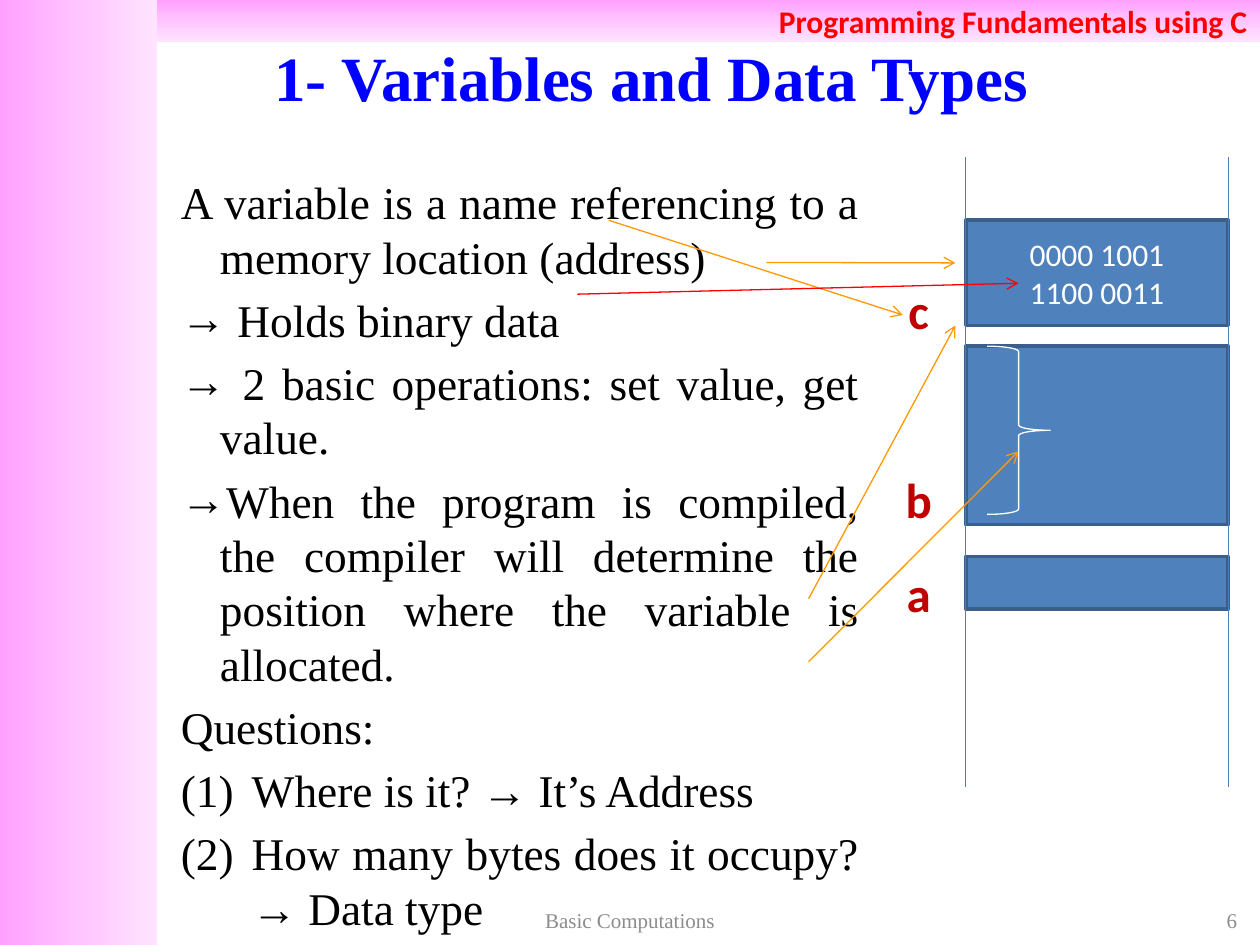
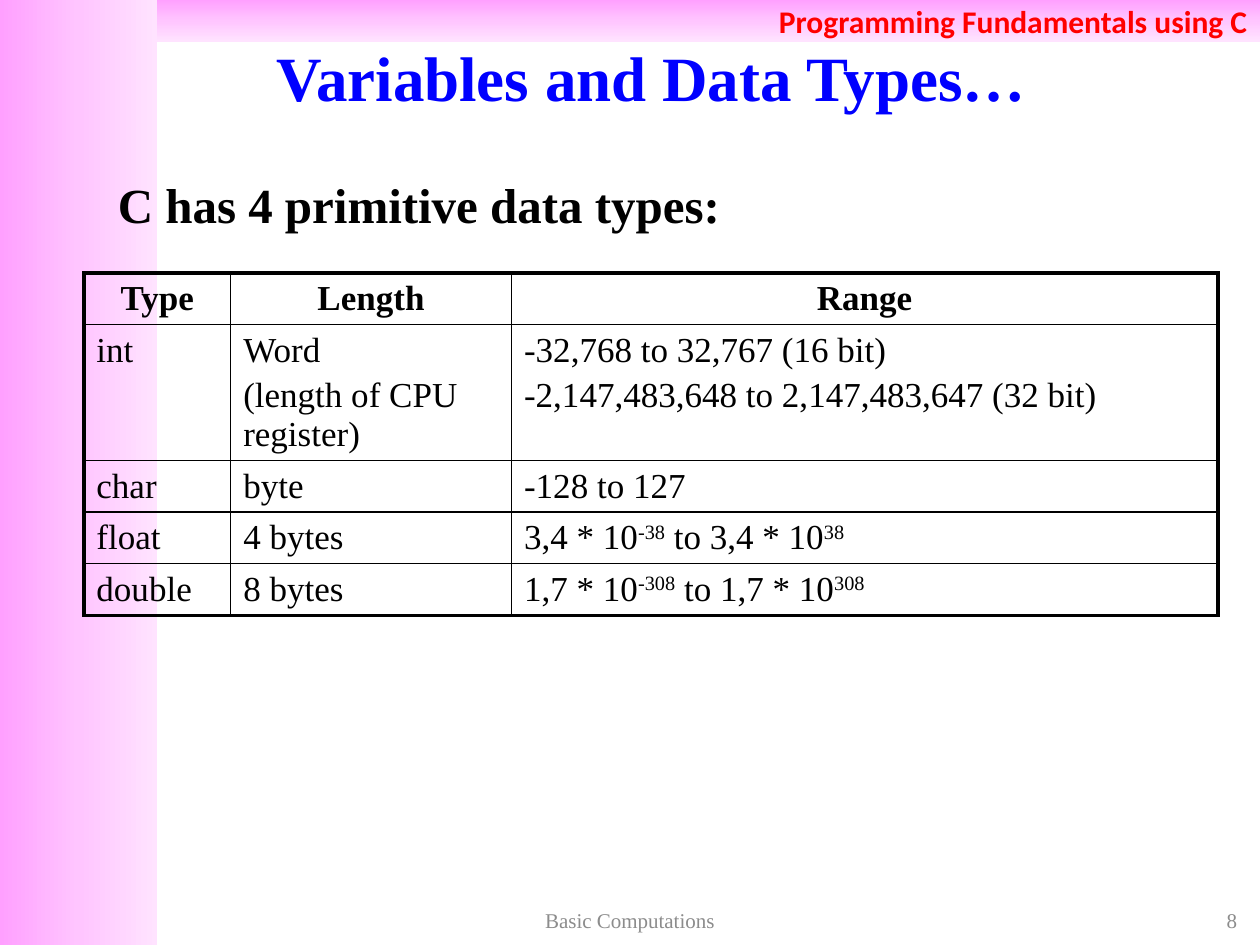
from copy import deepcopy

from lxml import etree
from pptx import Presentation
from pptx import util as u
from pptx.dml.color import RGBColor
from pptx.enum import shapes, text
from pptx.oxml import ns

PINKS = [RGBColor(0xFF, 0xA0, 0xFF), RGBColor(0xFF, 0xC5, 0xFF), RGBColor(0xFF, 0xE3, 0xFF)]
RED = RGBColor(0xFF, 0, 0)
DARK_RED = RGBColor(0xC0, 0, 0)
BLUE = RGBColor(0, 0, 0xFF)
BLACK = RGBColor(0, 0, 0)
WHITE = RGBColor(0xFF, 0xFF, 0xFF)
GRAY = RGBColor(0x8C, 0x8C, 0x8C)
ORANGE = RGBColor(0xFF, 0x99, 0)
CELL_BLUE = RGBColor(0x4F, 0x81, 0xBD)
CELL_EDGE = RGBColor(0x3A, 0x5F, 0x8C)
RAIL_BLUE = RGBColor(0x4B, 0x7E, 0xBC)

SERIF = "Times New Roman"
SANS = "Calibri"
ALIGN = text.PP_ALIGN
MIDDLE = text.MSO_ANCHOR.MIDDLE
PAGE_WIDTH, PAGE_HEIGHT = 25.4, 19.05
BAND_WIDTH, BAND_HEIGHT = 3.17, 0.84
RAIL_TOP, RAIL_BOTTOM = 3.17, 15.87
MEMORY_LEFT, MEMORY_WIDTH = 19.47, 5.29

TITLE = {"size": u.Pt(36), "name": SERIF, "bold": True, "color": BLUE}
HEADER = {"size": u.Pt(18), "name": SANS, "bold": True, "color": RED}
BODY = {"size": u.Pt(25.9), "name": SERIF, "bold": False, "color": BLACK}
LEAD = {"size": u.Pt(28), "name": SERIF, "bold": True, "color": BLACK}
FOOTER = {"size": u.Pt(12), "name": SERIF, "bold": False, "color": GRAY}
BITS = {"size": u.Pt(18), "name": SANS, "bold": False, "color": WHITE}
LABEL = {"size": u.Pt(28), "name": SANS, "bold": True, "color": DARK_RED}
CELL = {"size": u.Pt(20), "name": SERIF, "bold": False, "color": BLACK}
HEAD_CELL = {**CELL, "bold": True}

PLAIN, ARROW, NUMBER = range(3)
DEFINITION = [
    (PLAIN, "A variable is a name referencing to a memory location (address)"),
    (ARROW, " Holds binary data"),
    (ARROW, " 2 basic operations: set value, get value."),
    (ARROW, "When the program is compiled, the compiler will determine "
            "the position where the variable is allocated."),
    (PLAIN, "Questions:"),
    (NUMBER, "Where is it? → It’s Address"),
    (NUMBER, "How many bytes does it occupy? → Data type"),
]
MEMORY_BLOCKS = [(4.44, 2.12, ["0000 1001", "1100 0011"]), (6.98, 3.6, []), (11.22, 1.06, [])]
VARIABLE_LABELS = [("a", 11.43), ("b", 9.53), ("c", 5.72)]
ADDRESS_ARROWS = [(12.27, 4.44, 18.2, 6.35), (15.45, 5.29, 19.26, 5.3), (16.3, 12.07, 19.26, 6.56)]
SIZE_ARROW = (16.3, 13.34, 20.53, 9.1)
DATA_ARROW = (11.64, 5.93, 20.53, 5.71)
TYPE_ROWS = [
    ["Type", "Length", "Range"],
    ["int", "Word\n(length of CPU register)",
     "-32,768 to 32,767 (16 bit)\n-2,147,483,648 to 2,147,483,647 (32 bit)"],
    ["char", "byte", "-128 to 127"],
    ["float", "4 bytes", "3,4 * 10^-38^ to 3,4 * 10^38"],
    ["double", "8 bytes", "1,7 * 10^-308^ to 1,7 * 10^308"],
]
TYPE_WIDTHS = [2.96, 5.66, 14.24]
TYPE_HEIGHTS = [1.04, 2.74, 1.04, 1.03, 1.04]


def add_xml(parent, tag, **values):
    return etree.SubElement(parent, ns.qn(tag), values)


def lengths(*values):
    return [u.Cm(value) for value in values]


def place(shape, *bounds):
    for side, value in zip(("left", "top", "width", "height"), lengths(*bounds)):
        setattr(shape, side, value)


def write_para(para, words, look, **layout):
    for name, value in layout.items():
        setattr(para, name, value)
    for index, piece in enumerate(words.split("^")):
        span = para.add_run()
        span.text = piece
        for name, value in look.items():
            if name == "color":
                span.font.color.rgb = value
            else:
                setattr(span.font, name, value)
        if index % 2:
            span.font._element.set("baseline", "30000")


def write_lines(frame, lines, look, **layout):
    for index, words in enumerate(lines):
        para = frame.add_paragraph() if index else frame.paragraphs[0]
        write_para(para, words, look, **layout)


def set_bullet(para, kind, margin, indent):
    props = para._p.get_or_add_pPr()
    props.set("marL", str(u.Cm(margin)))
    props.set("indent", str(u.Cm(indent)))
    if kind == ARROW:
        add_xml(props, "a:buFont", typeface=SERIF)
        add_xml(props, "a:buChar", char="→")
    elif kind == NUMBER:
        add_xml(props, "a:buFont", typeface="+mj-lt")
        add_xml(props, "a:buAutoNum", type="arabicParenBoth")
    else:
        add_xml(props, "a:buNone")


def add_text(page, words, look, align, *bounds):
    box = page.shapes.add_textbox(*lengths(*bounds))
    frame = box.text_frame
    frame.word_wrap = True
    frame.vertical_anchor = MIDDLE
    write_lines(frame, [words], look, alignment=align)


def add_block(page, lines, *bounds):
    block = page.shapes.add_shape(shapes.MSO_SHAPE.RECTANGLE, *lengths(*bounds))
    block.shadow.inherit = False
    block.fill.solid()
    block.fill.fore_color.rgb = CELL_BLUE
    block.line.color.rgb = CELL_EDGE
    block.line.width = u.Pt(2)
    block.text_frame.vertical_anchor = MIDDLE
    write_lines(block.text_frame, lines, BITS, alignment=ALIGN.CENTER)


def add_line(page, ends, color, arrow=True):
    line = page.shapes.add_connector(shapes.MSO_CONNECTOR.STRAIGHT, *lengths(*ends))
    line.line.color.rgb = color
    line.line.width = u.Pt(0.75)
    props = line._element.spPr
    if arrow:
        add_xml(props.find(ns.qn("a:ln")), "a:tailEnd", type="arrow")
    add_xml(props, "a:effectLst")


def add_brace(page, *bounds):
    brace = page.shapes.add_shape(shapes.MSO_SHAPE.RIGHT_BRACE, *lengths(*bounds))
    brace.shadow.inherit = False
    brace.fill.background()
    brace.line.color.rgb = WHITE
    brace.line.width = u.Pt(0.75)


def add_band(page, angle, *bounds):
    band = page.shapes.add_shape(shapes.MSO_SHAPE.RECTANGLE, *lengths(*bounds))
    band.shadow.inherit = False
    band.line.fill.background()
    band.fill.gradient()
    band.fill.gradient_angle = angle
    stop_list = band._element.spPr.find(".//" + ns.qn("a:gsLst"))
    stop_list.insert(1, deepcopy(stop_list[0]))
    for stop, color, position in zip(band.fill.gradient_stops, PINKS, (0, 0.5, 1)):
        stop.color.rgb = color
        stop.position = position
    return band


def add_layout_bands(page):
    side = add_band(page, 0, 0, 0, BAND_WIDTH, PAGE_HEIGHT)
    top = add_band(page, 270, BAND_WIDTH, 0, PAGE_WIDTH - BAND_WIDTH, BAND_HEIGHT)
    top.text_frame.vertical_anchor = MIDDLE
    write_lines(top.text_frame, ["Programming Fundamentals using C"], HEADER, alignment=ALIGN.RIGHT)
    for number, band in enumerate((side, top), 21):
        band._element.nvSpPr.cNvPr.set("id", str(number))
        page.slide_layout.shapes.element.append(band._element)


def add_page(deck, title):
    page = deck.slides.add_slide(deck.slide_layouts[1])
    heading = page.shapes.title
    place(heading, 2.12, 0.76, 22.02, 1.57)
    heading.text_frame.auto_size = text.MSO_AUTO_SIZE.NONE
    heading.text_frame.vertical_anchor = MIDDLE
    write_lines(heading.text_frame, [title], TITLE, alignment=ALIGN.CENTER)
    return page


def fill_body(page, items, look, margin, *bounds):
    body = page.placeholders[1]
    place(body, *bounds)
    frame = body.text_frame
    frame.auto_size = text.MSO_AUTO_SIZE.NONE
    for index, (kind, words) in enumerate(items):
        para = frame.add_paragraph() if index else frame.paragraphs[0]
        write_para(para, words, look, alignment=ALIGN.JUSTIFY, space_before=u.Pt(5))
        extra = 0.64 if kind == NUMBER else 0
        set_bullet(para, kind, margin + extra, -0.79 - extra)


def add_footer(page, number):
    add_text(page, number, FOOTER, ALIGN.RIGHT, 19.26, 18.2, 5.93, 0.69)
    add_text(page, "Basic Computations", FOOTER, ALIGN.CENTER, 8.68, 18.2, 8.04, 0.69)


def set_borders(cell, outer_sides):
    props = cell._tc.get_or_add_tcPr()
    for index, side in enumerate("LRTB"):
        width = u.Pt(2.25 if side in outer_sides else 1)
        line = add_xml(props, "a:ln" + side, w=str(width))
        add_xml(add_xml(line, "a:solidFill"), "a:srgbClr", val=str(BLACK))
        props.insert(index, line)


def add_type_table(page, left, top):
    rows, columns = len(TYPE_ROWS), len(TYPE_WIDTHS)
    bounds = lengths(left, top, sum(TYPE_WIDTHS), sum(TYPE_HEIGHTS))
    table = page.shapes.add_table(rows, columns, *bounds).table
    table.first_row = table.horz_banding = False
    for column, width in zip(table.columns, TYPE_WIDTHS):
        column.width = u.Cm(width)
    for y, (row, height) in enumerate(zip(table.rows, TYPE_HEIGHTS)):
        row.height = u.Cm(height)
        for x, cell in enumerate(row.cells):
            cell.fill.background()
            edges = {"L": x == 0, "R": x == columns - 1, "T": y == 0, "B": y == rows - 1}
            set_borders(cell, [side for side, outer in edges.items() if outer])
            write_lines(cell.text_frame, TYPE_ROWS[y][x].split("\n"), CELL if y else HEAD_CELL,
                        alignment=ALIGN.LEFT if y else ALIGN.CENTER, space_before=u.Pt(4))


def draw_memory(page):
    for top, height, lines in MEMORY_BLOCKS:
        add_block(page, lines, MEMORY_LEFT, top, MEMORY_WIDTH, height)
    for name, top in VARIABLE_LABELS:
        add_text(page, name, LABEL, ALIGN.CENTER, 17.78, top, 1.48, 1.06)
    for x in (MEMORY_LEFT, MEMORY_LEFT + MEMORY_WIDTH):
        add_line(page, (x, RAIL_TOP, x, RAIL_BOTTOM), RAIL_BLUE, arrow=False)
    for ends in ADDRESS_ARROWS:
        add_line(page, ends, ORANGE)
    add_brace(page, 19.9, 6.98, 1.27, 3.39)
    add_line(page, SIZE_ARROW, ORANGE)
    add_line(page, DATA_ARROW, RED)


def main():
    deck = Presentation()
    deck.slide_width, deck.slide_height = lengths(PAGE_WIDTH, PAGE_HEIGHT)

    page = add_page(deck, "1- Variables and Data Types")
    add_layout_bands(page)
    fill_body(page, DEFINITION, BODY, 2.06, 2.12, 3.39, 15.45, 13.64)
    draw_memory(page)
    add_footer(page, "6")

    page = add_page(deck, "Variables and Data Types…")
    fill_body(page, [(PLAIN, "C has 4 primitive data types:")], LEAD, 0.79,
              2.12, 3.39, 21.8, 1.48)
    add_type_table(page, 1.69, 5.5)
    add_footer(page, "8")

    deck.save("out.pptx")


if __name__ == "__main__":
    main()
